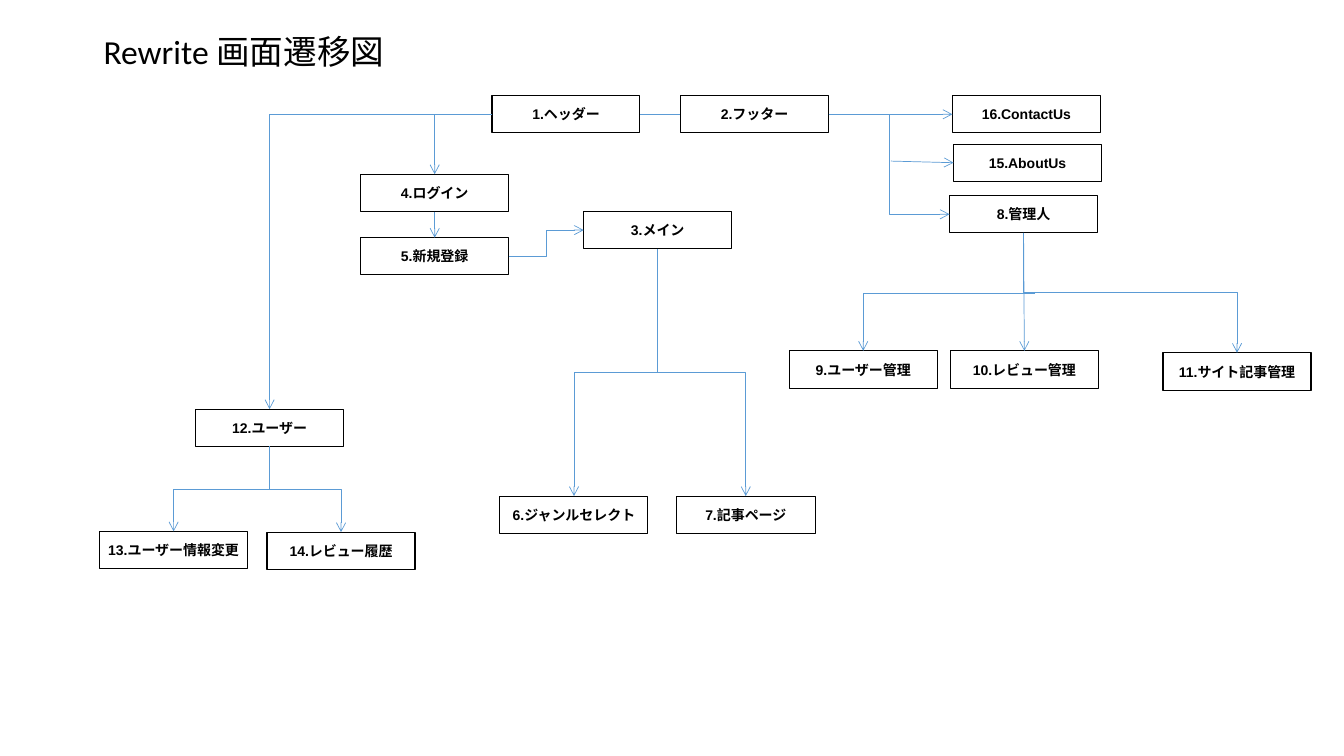
from lxml.etree import SubElement
from pptx import Presentation
from pptx.dml.color import RGBColor
from pptx.enum.shapes import MSO_CONNECTOR, MSO_SHAPE
from pptx.enum.text import MSO_ANCHOR, MSO_AUTO_SIZE, PP_ALIGN
from pptx.oxml.ns import qn
from pptx.util import Cm, Pt

COLORS = {"text": "000000", "fill": "FFFFFF", "border": "000000", "link": "5B9BD5"}
BOX_WIDTH, BOX_HEIGHT = 3.73, 0.94


def color(name):
    return RGBColor.from_string(COLORS[name])


def write(shape, text, size=10, font="Arial", bold=False, align=PP_ALIGN.LEFT):
    para = shape.text_frame.paragraphs[0]
    para.alignment = align
    span = para.add_run()
    span.text = text
    span.font.size = Pt(size)
    span.font.name = font
    span.font.bold = bold
    span.font.color.rgb = color("text")


class Diagram:
    """Style and current slide of the screen flow."""

    def __init__(self, deck):
        self.page = deck.slides.add_slide(deck.slide_layouts[6])

    def title(self, text, left, top, width, height):
        box = self.page.shapes.add_textbox(Cm(left), Cm(top), Cm(width), Cm(height))
        box.text_frame.word_wrap = True
        box.text_frame.auto_size = MSO_AUTO_SIZE.SHAPE_TO_FIT_TEXT
        write(box, text, size=24, font="Calibri")

    def screen(self, text, left, top, width=BOX_WIDTH):
        box = self.page.shapes.add_shape(
            MSO_SHAPE.RECTANGLE, Cm(left), Cm(top), Cm(width), Cm(BOX_HEIGHT))
        box.shadow.inherit = False
        box.fill.solid()
        box.fill.fore_color.rgb = color("fill")
        box.line.color.rgb = color("border")
        box.line.width = Pt(0.75)
        box.text_frame.word_wrap = False
        box.text_frame.vertical_anchor = MSO_ANCHOR.MIDDLE
        write(box, text, bold=True, align=PP_ALIGN.CENTER)
        return box

    def link(self, start, end, route="straight", arrow=True):
        """Routes: straight, corner (one bend), across or down (two bends)."""
        (x1, y1), (x2, y2) = start, end
        if route == "down":
            # A quarter turn makes the elbow leave vertically
            middle_x, middle_y = (x1 + x2) / 2, (y1 + y2) / 2
            reach, shift = (y2 - y1) / 2, (x2 - x1) / 2
            x1, x2 = middle_x - reach, middle_x + reach
            y1, y2 = middle_y + shift, middle_y - shift
        kind = MSO_CONNECTOR.STRAIGHT if route == "straight" else MSO_CONNECTOR.ELBOW
        line = self.page.shapes.add_connector(kind, *map(int, (x1, y1, x2, y2)))
        line.line.color.rgb = color("link")
        line.line.width = Pt(0.5)
        properties = line._element.spPr
        if route == "down":
            properties.find(qn("a:xfrm")).set("rot", "5400000")
        if route == "corner":
            properties.find(qn("a:prstGeom")).set("prst", "bentConnector2")
        if arrow:
            SubElement(properties.find(qn("a:ln")), qn("a:tailEnd"), type="arrow")
        SubElement(properties, qn("a:effectLst"))


def edge(box, side):
    across, down = {"left": (0, 0.5), "right": (1, 0.5),
                    "top": (0.5, 0), "bottom": (0.5, 1)}[side]
    return box.left + across * box.width, box.top + down * box.height


deck = Presentation()
deck.slide_width, deck.slide_height = Cm(33.87), Cm(19.05)
diagram = Diagram(deck)
diagram.title("Rewrite 画面遷移図", 2.36, 0.66, 17.93, 1.27)

# Screens, keyed by their number
SCREENS = [
    (3, "メイン", 14.71, 5.33),
    (2, "フッター", 17.15, 2.41),
    (1, "ヘッダー", 12.4, 2.41),
    (6, "ジャンルセレクト", 12.6, 12.5),
    (5, "新規登録", 9.09, 5.99),
    (4, "ログイン", 9.09, 4.39),
    (7, "記事ページ", 17.04, 12.5, 3.51),
    (9, "ユーザー管理", 19.89, 8.84),
    (11, "サイト記事管理", 29.31, 8.89),
    (10, "レビュー管理", 23.95, 8.84),
    (8, "管理人", 23.93, 4.93),
    (15, "AboutUs", 24.03, 3.63),
    (14, "レビュー履歴", 6.73, 13.41),
    (12, "ユーザー", 4.93, 10.31),
    (13, "ユーザー情報変更", 2.51, 13.39),
    (16, "ContactUs", 24.0, 2.41),
]
screens = {number: diagram.screen(f"{number}.{name}", *place)
           for number, name, *place in SCREENS}

# Links between screens
LINKS = [
    (1, "left", 4, "top", "corner"),
    (2, "right", 8, "left", "across"),
    (2, "right", 16, "left", "straight"),
    (8, "bottom", 11, "top", "down"),
    (8, "bottom", 10, "top", "straight"),
    (4, "bottom", 5, "top", "straight"),
    (5, "right", 3, "left", "across"),
    (12, "bottom", 14, "top", "down"),
    (12, "bottom", 13, "top", "down"),
    (3, "bottom", 6, "top", "down"),
    (3, "bottom", 7, "top", "down"),
    (1, "left", 12, "top", "corner"),
]
for source, exit_side, target, entry_side, route in LINKS:
    diagram.link(edge(screens[source], exit_side),
                 edge(screens[target], entry_side), route)
diagram.link(edge(screens[1], "right"), edge(screens[2], "left"), arrow=False)

# Branches that leave from another link
diagram.link((Cm(22.45), Cm(4.06)), edge(screens[15], "left"))
diagram.link((Cm(26.09), Cm(7.39)), edge(screens[9], "top"), "corner")

deck.save("out.pptx")
